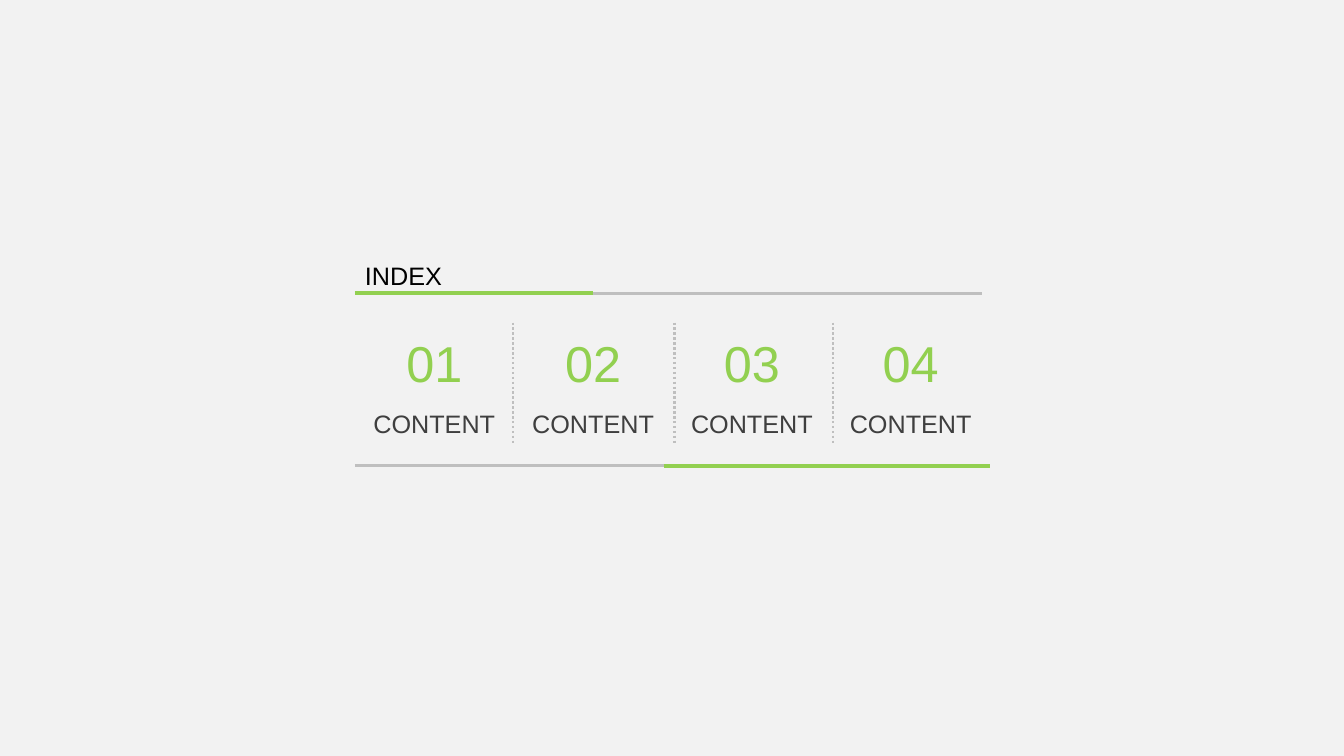
from collections import namedtuple

from pptx import Presentation
from pptx.dml.color import RGBColor
from pptx.enum.dml import MSO_LINE_DASH_STYLE as Dash
from pptx.enum.shapes import MSO_CONNECTOR_TYPE as Connector
from pptx.enum.text import MSO_ANCHOR as Anchor, MSO_AUTO_SIZE as AutoSize, PP_ALIGN as Align
from pptx.oxml.ns import qn
from pptx.util import Inches, Pt

BACKGROUND = RGBColor(0xF2, 0xF2, 0xF2)
GREEN = RGBColor(0x92, 0xD0, 0x50)
GRAY = RGBColor(0xBF, 0xBF, 0xBF)
DARK = RGBColor(0x3F, 0x3F, 0x3F)
BLACK = RGBColor(0, 0, 0)
FONT = "Arial"
TITLE_ONLY = 5

Box = namedtuple("Box", "left top width height")


def add_line(page, start, end, color, weight, dash=None):
    """Draw a straight line without shadow between two points in inches."""
    line = page.shapes.add_connector(Connector.STRAIGHT, *map(Inches, start + end))
    line.line.color.rgb = color
    line.line.width = Pt(weight)
    if dash:
        line.line.dash_style = dash
    properties = line._element.spPr
    properties.append(properties.makeelement(qn("a:effectLst"), {}))


def add_span(para, text, size, color):
    """Add one run of text to a paragraph."""
    span = para.add_run()
    span.text = text
    span.font.name = FONT
    span.font.size = Pt(size)
    span.font.color.rgb = color


def prepare_frame(frame):
    """Set wrapping, top anchor and margins of a text frame."""
    frame.word_wrap = True
    frame.auto_size = AutoSize.NONE
    frame.vertical_anchor = Anchor.TOP
    frame.margin_left = frame.margin_right = Inches(0.1)
    frame.margin_top = frame.margin_bottom = Inches(0.05)


def add_rules(page, box):
    """Draw the gray rules and their green accents above and below the index."""
    right, bottom = box.left + box.width, box.top + box.height
    for y, start, end, color, weight in (
        (box.top, box.left, right - 0.08, GRAY, 2.5),
        (box.top, box.left, box.left + 2.36, GREEN, 3),
        (bottom, box.left, right - 0.79, GRAY, 2.5),
        (bottom, box.left + 3.07, right, GREEN, 3),
    ):
        add_line(page, (start, y), (end, y), color, weight)


def place_title(page, box, text):
    """Place the title just above the upper rule."""
    title = page.shapes.title
    title.left, title.top = Inches(box.left), Inches(box.top - 0.38)
    title.width, title.height = Inches(box.width), Inches(0.4)
    prepare_frame(title.text_frame)
    para = title.text_frame.paragraphs[0]
    para.alignment = Align.LEFT
    add_span(para, text, 18, BLACK)


def add_entry(page, box, number, label):
    """Add a large number with its label below."""
    entry = page.shapes.add_textbox(*map(Inches, box))
    frame = entry.text_frame
    prepare_frame(frame)
    lines = ((number, 36, GREEN), (label, 18, DARK))
    for index, line in enumerate(lines):
        para = frame.add_paragraph() if index else frame.paragraphs[0]
        para.alignment = Align.CENTER
        para.line_spacing = 1.5
        add_span(para, *line)


def add_entries(page, box, labels):
    """Spread the numbered entries evenly, with dotted separators between them."""
    step = box.width / len(labels)
    for index, label in enumerate(labels):
        column = Box(box.left + index * step, box.top + 0.04, step, 1.4)
        add_entry(page, column, f"{index + 1:02d}", label)
    for offset in (1.57, 3.17, 4.74):
        x = box.left + offset
        add_line(page, (x, box.top + 0.29), (x, box.top + 1.51), GRAY, 1.75, Dash.ROUND_DOT)


def build_index(deck, box, title, labels):
    """Build the index slide around the given box."""
    page = deck.slides.add_slide(deck.slide_layouts[TITLE_ONLY])
    page.background.fill.solid()
    page.background.fill.fore_color.rgb = BACKGROUND
    add_rules(page, box)
    place_title(page, box, title)
    add_entries(page, box, labels)


deck = Presentation()
deck.slide_width, deck.slide_height = Inches(13.33), Inches(7.5)
build_index(deck, Box(3.52, 2.91, 6.3, 1.71), "INDEX", ["CONTENT"] * 4)
deck.save("out.pptx")
